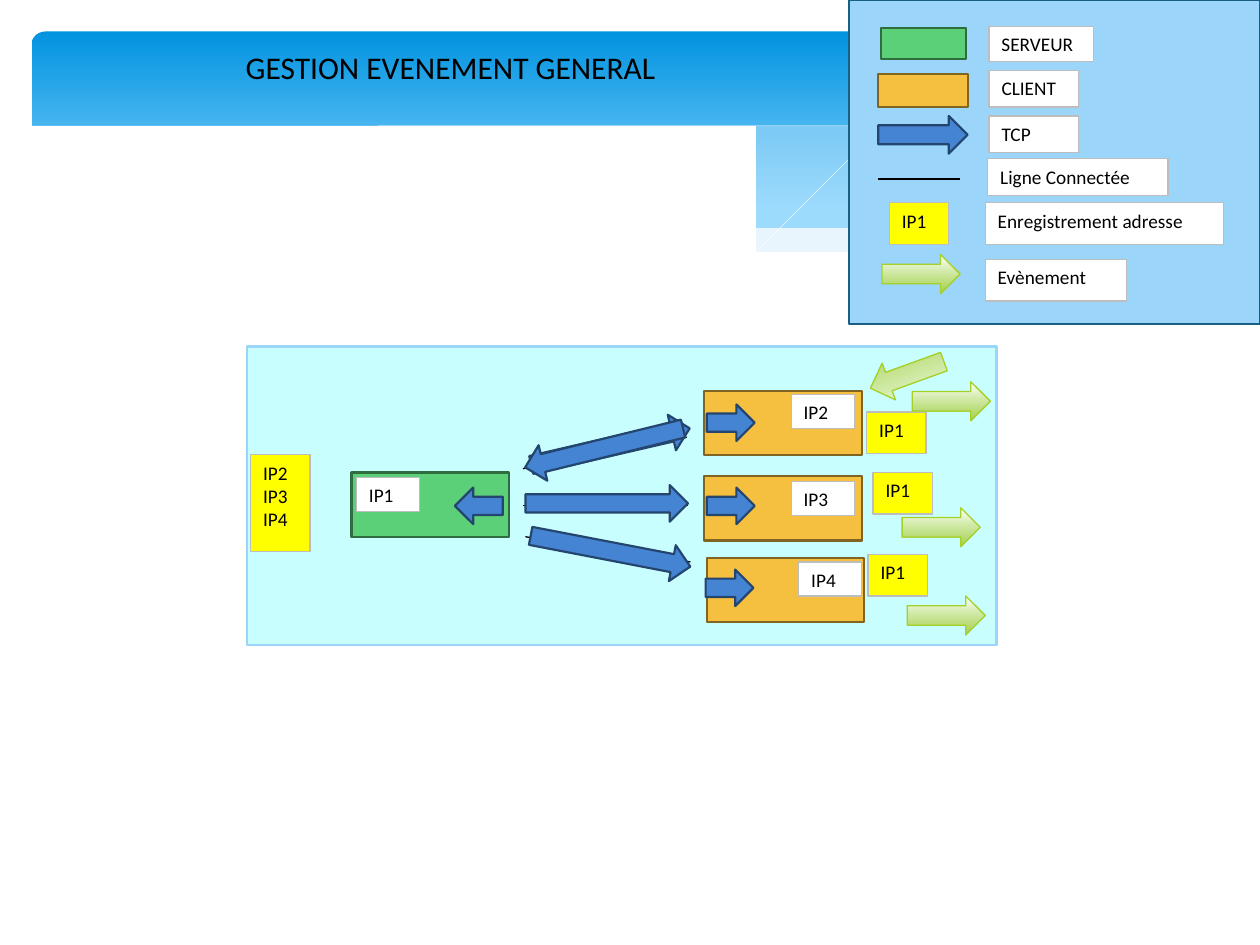
import pptx
import pptx.util
import pptx.dml.color
import pptx.enum.shapes
import pptx.enum.text
import pptx.oxml
import pptx.oxml.ns

Inches = pptx.util.Inches
KINDS = pptx.enum.shapes.MSO_SHAPE
DRAWING = "http://schemas.openxmlformats.org/drawingml/2006/main"
GREEN, ORANGE, BLUE = ("5BD078", "2F6D3F"), ("F5C040", "806421"), ("4584D3", "24456E")
WHITE, YELLOW = "FFFFFF", "FFFF00"
EVENT_STOPS = [(0, "FFFFFF"), (44, "D1EAA7"), (100, "A4CF4A")]
EVENT_SIZE, TCP_SIZE, INNER_SIZE = (0.62, 0.31), (1.29, 0.29), (0.38, 0.29)
TAG_SIZE = (0.47, 0.33)

WAVE_SHADE = [
    (9.76, 0.94), (9.48, 0.99), (9.21, 1.04), (8.91, 1.1), (8.61, 1.18),
    (8.05, 1.31), (7.53, 1.43), (7.06, 1.52), (6.61, 1.6), (6.91, 1.64),
    (7.32, 1.68), (7.69, 1.71), (8.03, 1.72), (8.35, 1.72), (8.63, 1.7),
    (8.89, 1.66), (9.21, 1.6), (9.49, 1.52), (9.76, 1.41)]
WAVE_LIGHT = [
    (8.93, 1.67), (8.66, 1.64), (8.07, 1.54), (7.41, 1.42), (6.68, 1.26),
    (6.13, 1.12), (5.69, 1.02), (5.28, 0.95), (4.89, 0.89), (4.42, 0.83),
    (3.99, 0.8), (3.61, 0.8), (3.28, 0.81), (2.86, 0.86), (3.23, 0.9),
    (3.62, 0.97), (4.04, 1.06), (4.49, 1.16), (5.3, 1.35), (5.84, 1.46),
    (6.34, 1.56), (6.8, 1.63), (7.22, 1.68), (7.61, 1.71), (8.07, 1.73),
    (8.48, 1.72)]
WAVE_LINE = [
    (3.09, 0.9), (3.28, 0.86), (3.53, 0.84), (3.87, 0.82), (4.16, 0.81),
    (4.5, 0.82), (4.89, 0.84), (5.33, 0.88), (5.82, 0.94), (6.36, 1.03),
    (6.95, 1.14), (7.6, 1.28), (8.31, 1.45), (9.07, 1.66)]
RISING_LINE = [
    (6.13, 1.51), (6.53, 1.41), (6.95, 1.3), (7.48, 1.17), (8.06, 1.04),
    (8.66, 0.93), (9.1, 0.86), (9.51, 0.82), (9.75, 0.8)]
WAVE_BASE = [
    (9.77, 1.41), (9.5, 1.51), (9.2, 1.59), (8.87, 1.66), (8.5, 1.7),
    (8.09, 1.71), (7.61, 1.7), (7.08, 1.65), (6.48, 1.56), (5.79, 1.44),
    (5.03, 1.28), (4.47, 1.14), (3.91, 1.02), (3.4, 0.92), (2.92, 0.85),
    (2.5, 0.81), (2.11, 0.78), (1.77, 0.78), (1.46, 0.79), (1.19, 0.82),
    (0.95, 0.85), (0.76, 0.89), (0.59, 0.93), (0.46, 0.98), (0.36, 1.02),
    (0.23, 1.07), (0.23, 2.24), (9.77, 2.24)]


def color(value):
    return pptx.dml.color.RGBColor.from_string(value)


def paint(shape, fill, line=None, width=0.75):
    shape.shadow.inherit = False
    if isinstance(fill, list):
        paint_gradient(shape, fill)
    elif fill:
        shape.fill.solid()
        shape.fill.fore_color.rgb = color(fill)
    else:
        shape.fill.background()
    if line:
        shape.line.color.rgb = color(line)
        shape.line.width = pptx.util.Pt(width)
    else:
        shape.line.fill.background()


def paint_gradient(shape, stops):
    marks = "".join(
        f'<a:gs pos="{place * 1000}"><a:srgbClr val="{value}"/></a:gs>'
        for place, value in stops)
    gradient = pptx.oxml.parse_xml(
        f'<a:gradFill xmlns:a="{DRAWING}" rotWithShape="1"><a:gsLst>{marks}</a:gsLst>'
        '<a:lin ang="5400000" scaled="0"/></a:gradFill>')
    geometry = shape.element.spPr.find(pptx.oxml.ns.qn("a:prstGeom"))
    geometry.addnext(gradient)


def write(frame, lines, size):
    frame.word_wrap = True
    frame.vertical_anchor = pptx.enum.text.MSO_ANCHOR.TOP
    for index, words in enumerate(lines):
        para = frame.add_paragraph() if index else frame.paragraphs[0]
        para.alignment = pptx.enum.text.PP_ALIGN.LEFT
        span = para.add_run()
        span.text = words
        span.font.size = pptx.util.Pt(size)
        span.font.name = "Calibri"
        span.font.color.rgb = color("000000")


def add_box(page, left, top, size, fill, line, width=1.25, kind=KINDS.RECTANGLE):
    box = page.shapes.add_shape(kind, Inches(left), Inches(top), *map(Inches, size))
    paint(box, fill, line, width)
    return box


def add_tag(page, left, top, size, fill, *lines):
    tag = add_box(page, left, top, size, fill, "BDBDBD", 0.75)
    write(tag.text_frame, lines, 11)


def add_arrow(page, left, top, size, turn=0):
    arrow = add_box(page, left, top, size, *BLUE, kind=KINDS.RIGHT_ARROW)
    arrow.rotation = turn


def add_event(page, left, top, turn=0):
    event = add_box(page, left, top, EVENT_SIZE, EVENT_STOPS, "A5D028", 0.75, KINDS.RIGHT_ARROW)
    event.rotation = turn


def add_line(page, *ends):
    line = page.shapes.add_connector(
        pptx.enum.shapes.MSO_CONNECTOR.STRAIGHT, *map(Inches, ends))
    line.line.color.rgb = color("000000")
    line.line.width = pptx.util.Pt(0.75)
    line.element.spPr.append(pptx.oxml.parse_xml(f'<a:effectLst xmlns:a="{DRAWING}"/>'))


def add_wave(page, left, top, points, fill, opacity=100):
    places = [(left + x, top + y) for x, y in points]
    builder = page.shapes.build_freeform(*places[0], scale=Inches(1))
    builder.add_line_segments(places[1:], close=bool(fill))
    wave = builder.convert_to_shape()
    paint(wave, fill, None if fill else WHITE, 0.25)
    if opacity < 100:
        tint = wave.element.spPr.find(".//" + pptx.oxml.ns.qn("a:srgbClr"))
        tint.append(pptx.oxml.parse_xml(
            f'<a:alpha xmlns:a="{DRAWING}" val="{opacity * 1000}"/>'))


def draw_banner(page, left, top):
    band = add_box(page, left + 0.25, top + 0.25, (9.51, 1.56),
                   [(0, "0293E0"), (90, "83D3FE")], None, kind=KINDS.ROUNDED_RECTANGLE)
    band.adjustments[0] = 0.07
    add_wave(page, left, top, WAVE_SHADE, "C6E7FC", 29)
    add_wave(page, left, top, WAVE_LIGHT, "C6E7FC", 40)
    for points, fill in ((WAVE_LINE, None), (RISING_LINE, None), (WAVE_BASE, WHITE)):
        add_wave(page, left, top, points, fill)
    title = page.shapes.title
    title.left, title.top = Inches(left + 1.85), Inches(top + 0.33)
    title.width, title.height = Inches(4.57), Inches(0.4)
    title.text_frame.auto_size = pptx.enum.text.MSO_AUTO_SIZE.NONE
    write(title.text_frame, ["GESTION EVENEMENT GENERAL"], 18)
    title.element.getparent().append(title.element)


def draw_network(page, left, top):
    add_box(page, left, top, (5.95, 2.37), "C8FEFD", "9BD5FA")
    for x1, y1, x2, y2 in ((2.21, 1.51, 3.52, 1.71), (2.19, 0.97, 3.49, 0.72),
                           (2.19, 1.26, 3.5, 1.26)):
        add_line(page, left + x1, top + y1, left + x2, top + y2)
    add_tag(page, left + 0.03, top + 0.86, (0.47, 0.77), YELLOW, "IP2", "IP3", "IP4")
    add_box(page, left + 0.83, top + 1, (1.25, 0.51), *GREEN)
    add_tag(page, left + 0.87, top + 1.04, (0.5, 0.27), WHITE, "IP1")
    add_arrow(page, left + 1.65, top + 1.12, INNER_SIZE, 180)
    for x, y, turn in ((2.24, 1.48, 10.9), (2.24, 0.65, 347), (2.19, 0.66, 166.2),
                       (2.21, 1.1, 0)):
        add_arrow(page, left + x, top + y, TCP_SIZE, turn)
    clients = (
        ("IP2", (3.63, 0.35), (4.32, 0.38), (3.65, 0.46), (4.92, 0.52), (5.28, 0.28)),
        ("IP3", (3.63, 1.03), (4.32, 1.07), (3.65, 1.12), (4.97, 1), (5.2, 1.28)),
        ("IP4", (3.65, 1.68), (4.38, 1.71), (3.64, 1.77), (4.93, 1.65), (5.24, 1.98)))
    add_event(page, left + 4.93, top + 0.07, 160.1)
    for address, *places in clients:
        body, label, arrow, record, event = [(left + x, top + y) for x, y in places]
        add_box(page, *body, (1.25, 0.51), *ORANGE)
        add_tag(page, *label, (0.5, 0.27), WHITE, address)
        add_arrow(page, *arrow, INNER_SIZE)
        add_tag(page, *record, TAG_SIZE, YELLOW, "IP1")
        add_event(page, *event)


def draw_legend(page, left, top):
    add_box(page, left, top, (3.26, 2.57), "9BD5FA", "195F84")
    add_box(page, left + 0.25, top + 0.22, (0.68, 0.25), *GREEN)
    add_box(page, left + 0.23, top + 0.59, (0.71, 0.26), *ORANGE)
    add_arrow(page, left + 0.23, top + 0.92, (0.71, 0.3))
    add_line(page, left + 0.23, top + 1.42, left + 0.88, top + 1.42)
    add_tag(page, left + 0.32, top + 1.61, TAG_SIZE, YELLOW, "IP1")
    add_event(page, left + 0.26, top + 2.02)
    for words, x, y, size in (
            ("SERVEUR", 1.11, 0.21, (0.83, 0.28)), ("CLIENT", 1.11, 0.56, (0.71, 0.29)),
            ("TCP", 1.11, 0.92, (0.71, 0.29)), ("Ligne Connectée", 1.1, 1.26, (1.43, 0.29)),
            ("Enregistrement adresse", 1.08, 1.61, (1.89, 0.33)),
            ("Evènement", 1.08, 2.06, (1.12, 0.33))):
        add_tag(page, left + x, top + y, size, WHITE, words)


deck = pptx.Presentation()
deck.slide_width, deck.slide_height = Inches(10), Inches(7.5)
page = deck.slides.add_slide(deck.slide_layouts[5])
draw_banner(page, 0, 0)
draw_network(page, 1.96, 2.75)
draw_legend(page, 6.74, 0)
deck.save("out.pptx")
